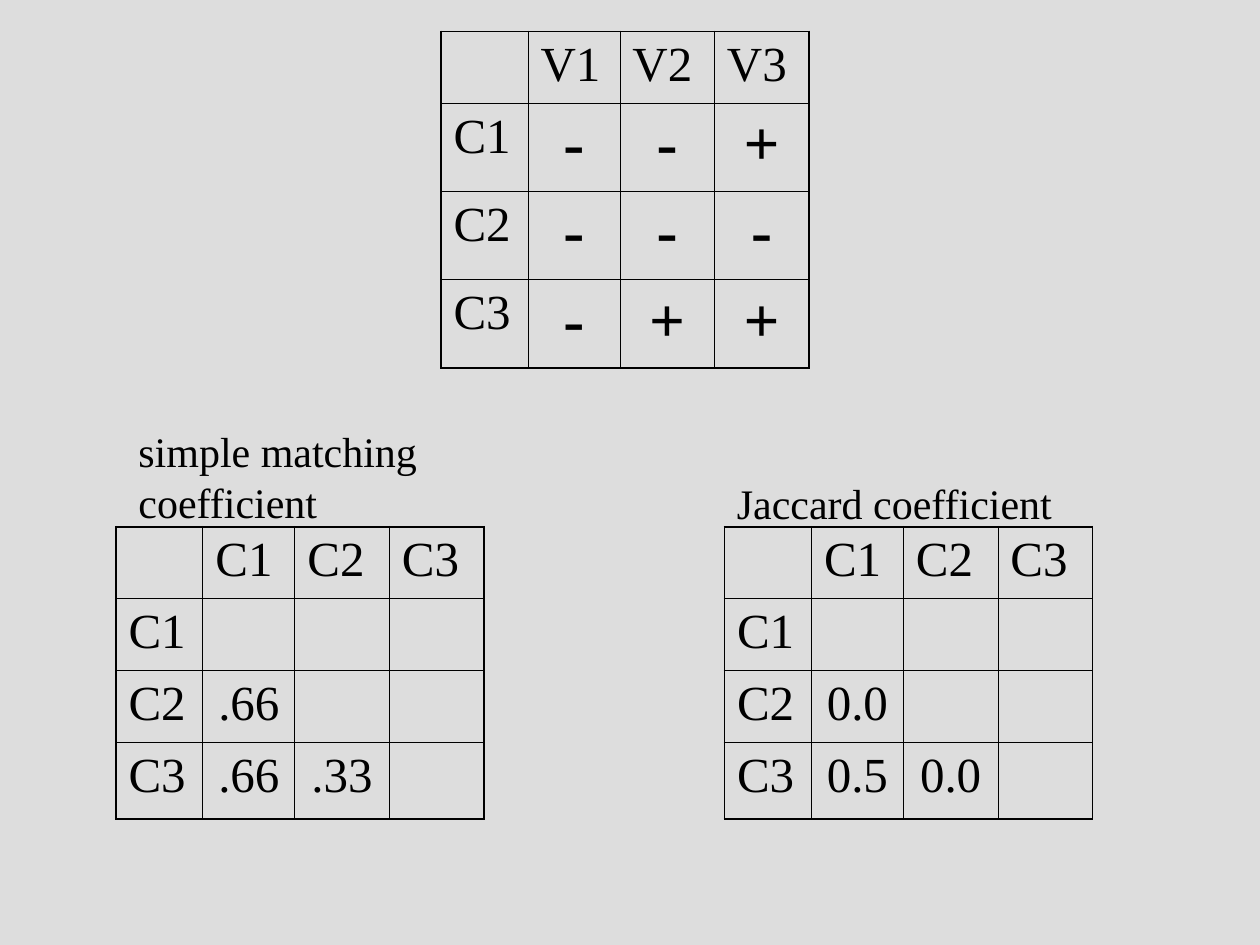
from lxml import etree
from pptx import Presentation
from pptx.dml.color import RGBColor
from pptx.enum.text import MSO_AUTO_SIZE, PP_ALIGN
from pptx.oxml.ns import qn
from pptx.util import Inches, Pt

BLACK = RGBColor(0x00, 0x00, 0x00)
BACKGROUND = RGBColor(0xDD, 0xDD, 0xDD)
FONT = "Times New Roman"
INNER_BORDER, OUTER_BORDER = Pt(0.45), Pt(1.08)

COLUMN_WIDTHS = [0.69, 0.73, 0.75, 0.75]
VARIABLE_ROWS = [0.57, 0.7, 0.7, 0.7]
COEFFICIENT_ROWS = [0.57, 0.57, 0.57, 0.61]

CASES = ["C1", "C2", "C3"]
VARIABLES = ["V1", "V2", "V3"]
SIGNS = ["--+", "---", "-++"]
MATCHING = [["", "", ""], [".66", "", ""], [".66", ".33", ""]]
JACCARD = [["", "", ""], ["0.0", "", ""], ["0.5", "0.0", ""]]


def style_font(paragraph, size, bold=False):
    font = paragraph.font
    font.name, font.size, font.bold = FONT, Pt(size), bold
    font.color.rgb = BLACK


def set_borders(cell, outer_sides):
    """Draw all four sides of a cell, thicker where outer_sides is true."""
    properties = cell._tc.get_or_add_tcPr()
    for side in "LRTB":
        width = OUTER_BORDER if outer_sides[side] else INNER_BORDER
        line = etree.SubElement(properties, qn(f"a:ln{side}"), w=str(int(width)))
        fill = etree.SubElement(line, qn("a:solidFill"))
        etree.SubElement(fill, qn("a:srgbClr"), val=str(BLACK))


def add_matrix(slide, left, top, heights, headings, values, size=28, bold=False):
    """Add a table with one row per case; size and bold apply to the values."""
    rows = [["", *headings]] + [[case, *line] for case, line in zip(CASES, values)]
    table = slide.shapes.add_table(
        len(rows), len(COLUMN_WIDTHS), Inches(left), Inches(top),
        Inches(sum(COLUMN_WIDTHS)), Inches(sum(heights))).table
    table.first_row = table.horz_banding = False
    for column, width in zip(table.columns, COLUMN_WIDTHS):
        column.width = Inches(width)
    for row, height in zip(table.rows, heights):
        row.height = Inches(height)

    last_row, last_column = len(rows) - 1, len(COLUMN_WIDTHS) - 1
    for r, row in enumerate(rows):
        for c, entry in enumerate(row):
            cell = table.cell(r, c)
            set_borders(cell, {"L": c == 0, "R": c == last_column,
                               "T": r == 0, "B": r == last_row})
            cell.fill.background()
            if not entry:
                continue
            cell.text = entry
            paragraph = cell.text_frame.paragraphs[0]
            if r and c:
                paragraph.alignment = PP_ALIGN.CENTER
                paragraph.space_before = Pt(size // 4)
                style_font(paragraph, size, bold)
            else:
                paragraph.space_before = Pt(7)
                style_font(paragraph, 28)


def add_caption(slide, left, top, width, height, caption):
    frame = slide.shapes.add_textbox(
        Inches(left), Inches(top), Inches(width), Inches(height)).text_frame
    frame.word_wrap = False
    frame.auto_size = MSO_AUTO_SIZE.SHAPE_TO_FIT_TEXT
    paragraph = frame.paragraphs[0]
    paragraph.text = caption
    style_font(paragraph, 24)


def main():
    presentation = Presentation()
    presentation.slide_width, presentation.slide_height = Inches(10), Inches(7.5)
    slide = presentation.slides.add_slide(presentation.slide_layouts[6])
    slide.background.fill.solid()
    slide.background.fill.fore_color.rgb = BACKGROUND

    add_matrix(slide, 0.92, 4.18, COEFFICIENT_ROWS, CASES, MATCHING)
    add_matrix(slide, 3.5, 0.25, VARIABLE_ROWS, VARIABLES, SIGNS, size=36, bold=True)
    add_matrix(slide, 5.75, 4.18, COEFFICIENT_ROWS, CASES, JACCARD)
    add_caption(slide, 1, 3.33, 2.41, 0.9, "simple matching\vcoefficient")
    add_caption(slide, 5.75, 3.74, 2.71, 0.5, "Jaccard coefficient")

    presentation.save("out.pptx")


if __name__ == "__main__":
    main()
